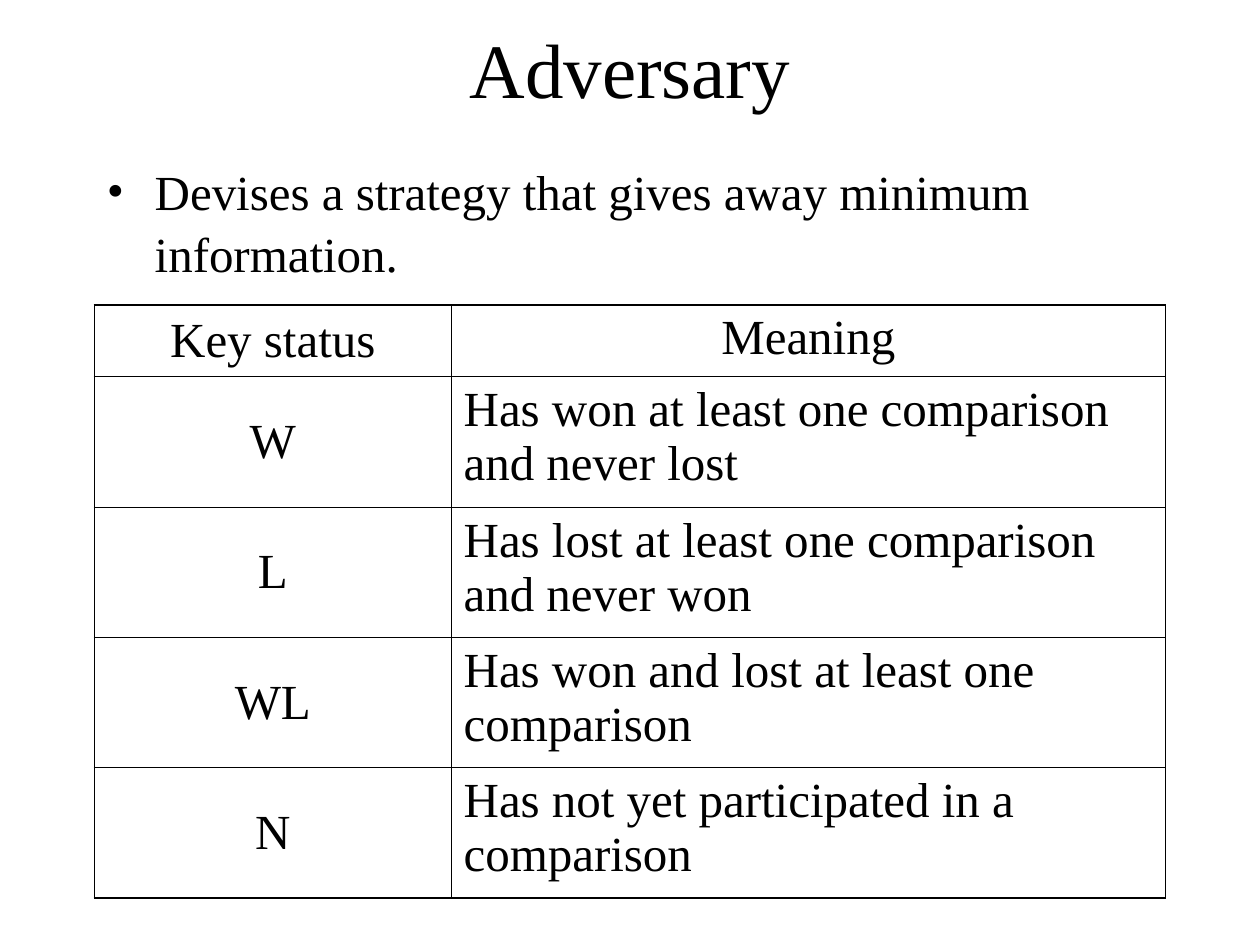
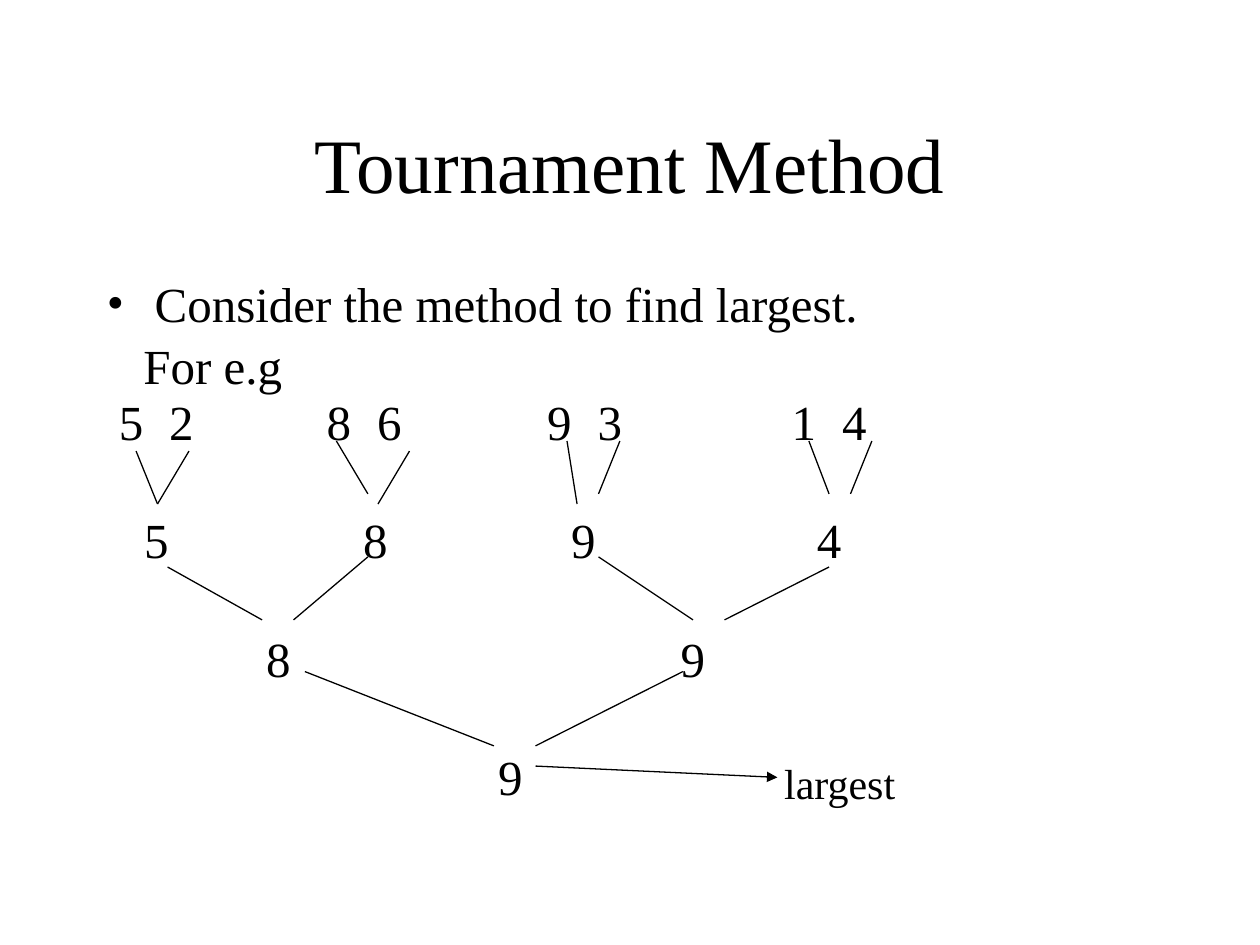
from typing import NamedTuple

from lxml.etree import SubElement
from pptx import Presentation
from pptx.dml.color import RGBColor
from pptx.enum.shapes import MSO_CONNECTOR, MSO_SHAPE
from pptx.enum.text import MSO_ANCHOR, PP_ALIGN
from pptx.oxml.ns import qn
from pptx.util import Inches, Pt

FONT = "Times New Roman"
BLACK, WHITE = "000000", "FFFFFF"
TITLE_SIZE, BODY_SIZE, LABEL_SIZE = 44, 28, 24
LEFT, WIDTH = 0.75, 8.5
OUTER, INNER = 1.08, 0.45  # table border widths


class Node(NamedTuple):
    text: str
    x: float
    level: int


class Edge(NamedTuple):
    x1: float
    y1: float
    x2: float
    y2: float


STATUSES = [
    ("Key status", "Meaning"),
    ("W", "Has won at least one comparison and never lost"),
    ("L", "Has lost at least one comparison and never won"),
    ("WL", "Has won and lost at least one comparison"),
    ("N", "Has not yet participated in a comparison"),
]

# Tournament rounds: first-round pairs around a centre, then the winners
PAIRS = [("5", "2", 1.24), ("8", "6", 2.89), ("9", "3", 4.64), ("1", "4", 6.58)]
PAIR_OFFSET = 0.2
WINNERS = [
    Node("5", 1.24, 1), Node("8", 2.98, 1), Node("9", 4.63, 1), Node("4", 6.58, 1),
    Node("8", 2.21, 2), Node("9", 5.5, 2),
    Node("9", 4.05, 3),
]
FIRST_LEVEL_Y, LEVEL_GAP, NODE_SIZE = 3.34, 0.94, 0.5
EDGES = [
    Edge(1.08, 3.58, 1.25, 4), Edge(1.5, 3.58, 1.25, 4),
    Edge(2.67, 3.5, 2.92, 3.92), Edge(3.25, 3.58, 3, 4),
    Edge(4.5, 3.5, 4.58, 4), Edge(4.92, 3.5, 4.75, 3.92),
    Edge(6.42, 3.5, 6.58, 3.92), Edge(6.92, 3.5, 6.75, 3.92),
    Edge(1.33, 4.5, 2.08, 4.92), Edge(2.92, 4.42, 2.33, 4.92),
    Edge(4.75, 4.42, 5.5, 4.92), Edge(6.58, 4.5, 5.75, 4.92),
    Edge(2.42, 5.33, 3.92, 5.92), Edge(5.42, 5.33, 4.25, 5.92),
]
RESULT_ARROW = Edge(4.25, 6.08, 6.17, 6.17)


def color(value: str) -> RGBColor:
    return RGBColor.from_string(value)


def format_text(tf, size: float, align=PP_ALIGN.LEFT) -> None:
    for p in tf.paragraphs:
        p.alignment = align
        for r in p.runs:
            r.font.name = FONT
            r.font.size = Pt(size)
            r.font.color.rgb = color(BLACK)


def add_titled_slide(prs, title: str, top: float, height: float):
    s = prs.slides.add_slide(prs.slide_layouts[5])
    sp = s.shapes.title
    sp.left, sp.top = Inches(LEFT), Inches(top)
    sp.width, sp.height = Inches(WIDTH), Inches(height)
    tf = sp.text_frame
    tf.text = title
    tf.vertical_anchor = MSO_ANCHOR.MIDDLE
    format_text(tf, TITLE_SIZE, PP_ALIGN.CENTER)
    return s


def set_indent(p, left: float, first: float) -> None:
    pPr = p._p.get_or_add_pPr()
    pPr.set("marL", str(Inches(left)))
    pPr.set("indent", str(Inches(first)))


def add_body(s, lines: list[str], top: float, height: float):
    """First line is a bullet; the others are indented without one."""
    sp = s.shapes.add_textbox(Inches(LEFT), Inches(top), Inches(WIDTH), Inches(height))
    tf = sp.text_frame
    tf.word_wrap = True
    tf.text = "\n".join(lines)
    for i, p in enumerate(tf.paragraphs):
        if i == 0:
            set_indent(p, 0.38, -0.38)
            SubElement(p._p.pPr, qn("a:buFont"), typeface=FONT)
            SubElement(p._p.pPr, qn("a:buChar"), char="•")
        else:
            set_indent(p, 0.29, 0)
            p.space_before = Pt(2)
    format_text(tf, BODY_SIZE)
    return tf


def set_borders(cell, widths: dict[str, float]) -> None:
    tcPr = cell._tc.get_or_add_tcPr()
    for i, (side, width) in enumerate(widths.items()):
        ln = tcPr.makeelement(qn(f"a:ln{side}"), {"w": str(Pt(width))})
        fill = SubElement(ln, qn("a:solidFill"))
        SubElement(fill, qn("a:srgbClr"), val=BLACK)
        tcPr.insert(i, ln)


def add_status_table(s) -> None:
    rows, cols = len(STATUSES), len(STATUSES[0])
    frame = s.shapes.add_table(rows, cols, Inches(LEFT), Inches(2.42),
                               Inches(WIDTH), Inches(4.69))
    table = frame.table
    table.first_row = table.horz_banding = False
    for column, width in zip(table.columns, (2.83, 5.67)):
        column.width = Inches(width)
    for i, texts in enumerate(STATUSES):
        table.rows[i].height = Inches(1.03 if i else 0.57)
        for j, text in enumerate(texts):
            cell = table.cell(i, j)
            cell.text = text
            cell.fill.background()
            cell.vertical_anchor = MSO_ANCHOR.TOP if j else MSO_ANCHOR.MIDDLE
            centred = i == 0 or j == 0
            format_text(cell.text_frame, BODY_SIZE,
                        PP_ALIGN.CENTER if centred else PP_ALIGN.LEFT)
            set_borders(cell, {
                "L": OUTER if j == 0 else INNER,
                "R": OUTER if j == cols - 1 else INNER,
                "T": OUTER if i == 0 else INNER,
                "B": OUTER if i == rows - 1 else INNER,
            })


def add_node(s, node: Node) -> None:
    y = FIRST_LEVEL_Y + node.level * LEVEL_GAP
    sp = s.shapes.add_textbox(Inches(node.x - NODE_SIZE / 2), Inches(y - NODE_SIZE / 2),
                              Inches(NODE_SIZE), Inches(NODE_SIZE))
    tf = sp.text_frame
    tf.margin_left = tf.margin_right = tf.margin_top = tf.margin_bottom = 0
    tf.word_wrap = True
    tf.vertical_anchor = MSO_ANCHOR.MIDDLE
    tf.text = node.text
    format_text(tf, BODY_SIZE, PP_ALIGN.CENTER)


def add_edge(s, edge: Edge, arrow: bool = False) -> None:
    cx = s.shapes.add_connector(MSO_CONNECTOR.STRAIGHT, *(Inches(v) for v in edge))
    cx.line.color.rgb = color(BLACK)
    cx.line.width = Pt(0.75)
    if arrow:
        SubElement(cx.line._get_or_add_ln(), qn("a:tailEnd"), type="triangle")
    SubElement(cx._element.spPr, qn("a:effectLst"))


def add_result_label(s, text: str) -> None:
    sp = s.shapes.add_shape(MSO_SHAPE.RECTANGLE, Inches(5.33), Inches(5.92),
                            Inches(2.67), Inches(0.58))
    sp.shadow.inherit = False
    sp.fill.solid()
    sp.fill.fore_color.rgb = color(WHITE)
    sp.line.color.rgb = color(WHITE)
    sp.line.width = Pt(0.75)
    tf = sp.text_frame
    tf.word_wrap = False
    tf.vertical_anchor = MSO_ANCHOR.MIDDLE
    tf.text = text
    format_text(tf, LABEL_SIZE, PP_ALIGN.CENTER)


def build_adversary(prs) -> None:
    s = add_titled_slide(prs, "Adversary", 0, 1.08)
    tf = add_body(s, ["Devises a strategy that gives away minimum information."], 1.21, 1.1)
    tf.paragraphs[0].line_spacing = 1.05
    add_status_table(s)


def build_tournament(prs) -> None:
    s = add_titled_slide(prs, "Tournament Method", 0.67, 1.25)
    add_body(s, ["Consider the method to find largest.", "For e.g"], 2.12, 1.05)
    # Players and winners
    for first, second, centre in PAIRS:
        add_node(s, Node(first, centre - PAIR_OFFSET, 0))
        add_node(s, Node(second, centre + PAIR_OFFSET, 0))
    for node in WINNERS:
        add_node(s, node)
    # Matches and the final result
    for edge in EDGES:
        add_edge(s, edge)
    add_result_label(s, "largest")
    add_edge(s, RESULT_ARROW, arrow=True)


def main() -> None:
    prs = Presentation()
    prs.slide_width, prs.slide_height = Inches(10), Inches(7.5)
    build_adversary(prs)
    build_tournament(prs)
    prs.save("out.pptx")


if __name__ == "__main__":
    main()
